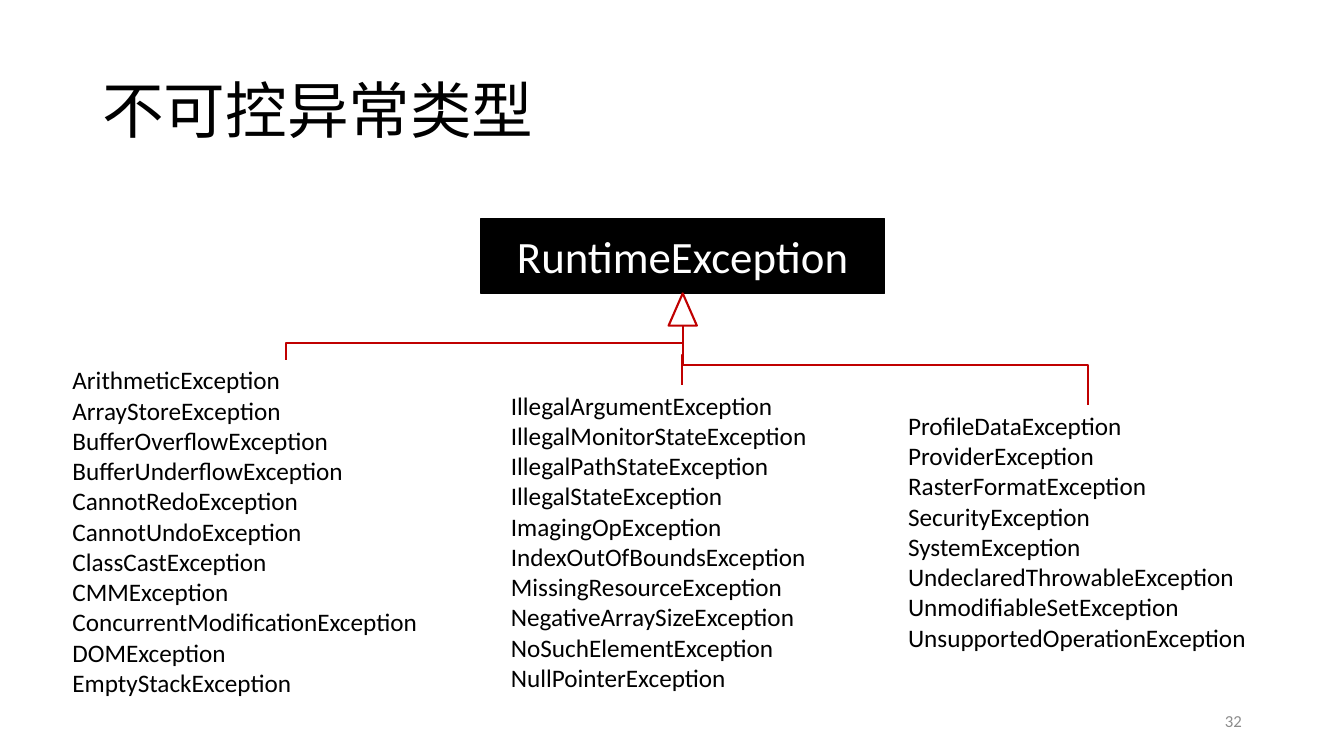
from lxml.etree import SubElement
from pptx import Presentation
from pptx.dml.color import RGBColor
from pptx.enum.shapes import MSO_CONNECTOR, MSO_SHAPE
from pptx.enum.text import MSO_ANCHOR, PP_ALIGN
from pptx.oxml.ns import qn
from pptx.util import Inches, Pt

BLACK = RGBColor(0x00, 0x00, 0x00)
WHITE = RGBColor(0xFF, 0xFF, 0xFF)
RED = RGBColor(0xC0, 0x00, 0x00)
GREY = RGBColor(0x8C, 0x8C, 0x8C)

deck = Presentation()
deck.slide_width, deck.slide_height = Inches(13.33), Inches(7.5)
page = deck.slides.add_slide(deck.slide_layouts[6])

# Grid of 40 columns by 30 rows
COLUMN, ROW = deck.slide_width / 40, deck.slide_height / 30


def place(left, top, width, height):
    return [int(left * COLUMN), int(top * ROW), int(width * COLUMN), int(height * ROW)]


def write(box, words, size, color, anchor=MSO_ANCHOR.TOP, **para_format):
    frame = box.text_frame
    frame.word_wrap = True
    frame.vertical_anchor = anchor
    para = frame.paragraphs[0]
    para.text = words
    for name, value in para_format.items():
        setattr(para, name, value)
    for span in para.runs:
        for name, value in {"name": "Calibri", "size": Pt(size)}.items():
            setattr(span.font, name, value)
        span.font.color.rgb = color


# Title and page number
title = page.shapes.add_textbox(*place(2.75, 1.6, 34.5, 5.8))
write(title, "不可控异常类型", 44, BLACK, MSO_ANCHOR.MIDDLE, line_spacing=0.9)
number = page.shapes.add_textbox(*place(28.26, 27.8, 9, 1.6))
write(number, "32", 12, GREY, MSO_ANCHOR.MIDDLE, alignment=PP_ALIGN.RIGHT)

# Parent class
parent = page.shapes.add_shape(MSO_SHAPE.RECTANGLE, *place(14.32, 8.68, 12, 2.96))
parent.shadow.inherit = False
parent.fill.solid()
parent.fill.fore_color.rgb = BLACK
parent.line.color.rgb = BLACK
parent.line.width = Pt(1)
write(parent, "RuntimeException", 32, WHITE, MSO_ANCHOR.MIDDLE, alignment=PP_ALIGN.CENTER)

# Inheritance arrowhead, centred under the parent
arrowhead = page.shapes.add_shape(MSO_SHAPE.ISOSCELES_TRIANGLE, *place(19.9, 11.64, 0.84, 1.28))
arrowhead.shadow.inherit = False
arrowhead.fill.background()
arrowhead.line.color.rgb = RED
arrowhead.line.width = Pt(1.5)
start_x = arrowhead.left + arrowhead.width // 2
start_y = arrowhead.top + arrowhead.height

# Child classes: left, top and width in grid units, then the names
children = [
    (1.86, 14.28, 13.32, [
        "ArithmeticException", "ArrayStoreException", "BufferOverflowException",
        "BufferUnderflowException", "CannotRedoException", "CannotUndoException",
        "ClassCastException", "CMMException", "ConcurrentModificationException",
        "DOMException", "EmptyStackException"]),
    (14.91, 15.28, 10.77, [
        "IllegalArgumentException", "IllegalMonitorStateException",
        "IllegalPathStateException", "IllegalStateException", "ImagingOpException",
        "IndexOutOfBoundsException", "MissingResourceException",
        "NegativeArraySizeException", "NoSuchElementException", "NullPointerException"]),
    (26.73, 16.08, 11.28, [
        "ProfileDataException", "ProviderException", "RasterFormatException",
        "SecurityException", "SystemException", "UndeclaredThrowableException",
        "UnmodifiableSetException", "UnsupportedOperationException"]),
]
for left, top, width, names in children:
    box = page.shapes.add_textbox(*place(left, top, width, 1.21 * len(names) + 0.4))
    write(box, "\v".join(names), 18, BLACK)

    # Elbow that leaves the arrowhead downwards: drawn sideways, then turned
    end_x, end_y = box.left + box.width // 2, box.top
    drop, spread = end_y - start_y, abs(end_x - start_x)
    near = (start_x + end_x - drop) // 2
    far = near + drop
    upper = (start_y + end_y - spread) // 2
    goes_right = end_x > start_x
    begin, finish = (far, near) if goes_right else (near, far)
    elbow = page.shapes.add_connector(MSO_CONNECTOR.ELBOW, begin, upper, finish, upper + spread)
    properties = elbow._element.spPr
    properties.find(qn("a:xfrm")).set("rot", str((270 if goes_right else 90) * 60000))
    elbow.line.color.rgb = RED
    elbow.line.width = Pt(1.5)
    SubElement(properties, qn("a:effectLst"))

deck.save("out.pptx")
